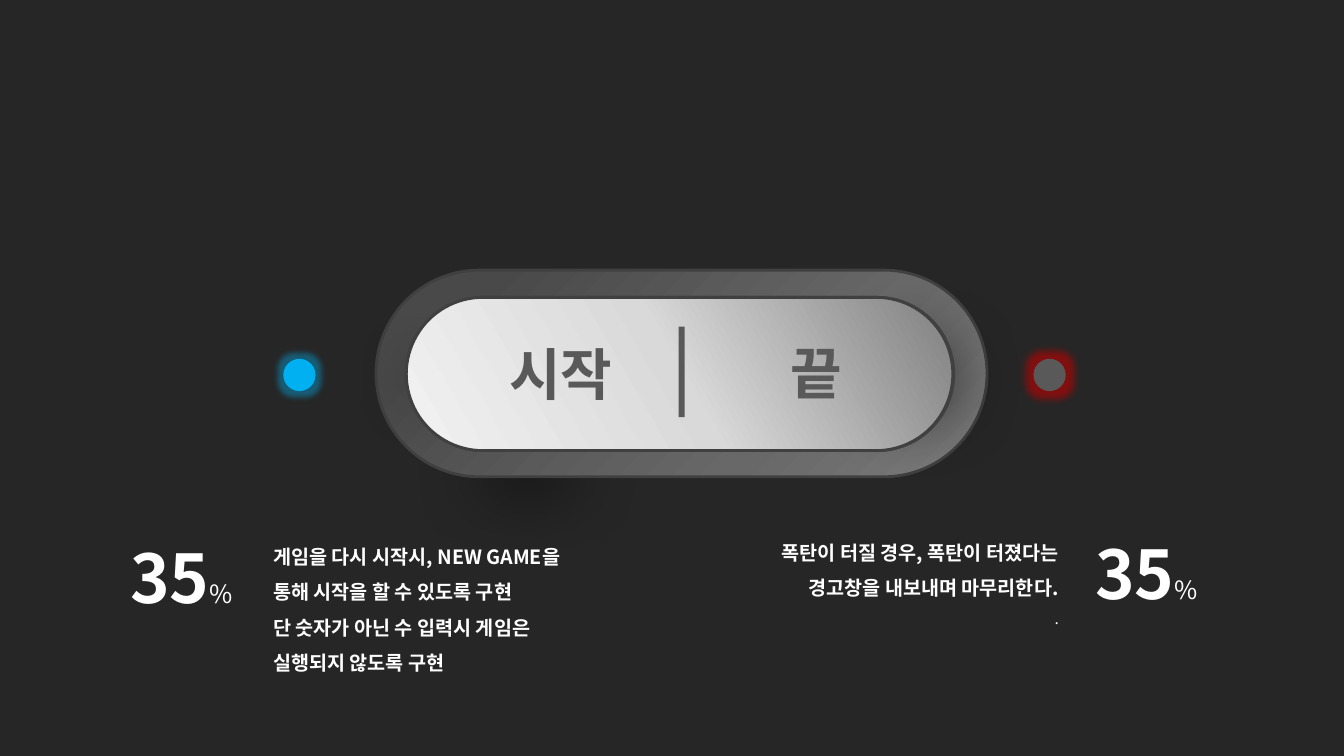
"""Build a dark slide with a start/end game switch and two captions."""
from lxml import etree
from pptx import Presentation, util as u
from pptx.dml.color import RGBColor
from pptx.enum import shapes, text
from pptx.oxml import ns

W, H = 13.33, 7.5
LABELS = [("시작", 4.87, 3.32), ("끝", 7.41, 3.31)]
LIGHTS = [(2.81, "blue", "blue", 8, 40), (10.25, "grey", "red", 11, 60)]
CAPTIONS = [
    dict(left=2.61, top=5.24, height=1.38, align="LEFT", lines=[
        ("게임을 다시 시작시, NEW GAME을 통해 시작을 할 수 있도록 구현", "body", True),
        ("단 숫자가 아닌 수 입력시 게임은 실행되지 않도록 구현", "body", True)]),
    dict(left=7.33, top=5.2, height=0.96, align="RIGHT", lines=[
        ("폭탄이 터질 경우, 폭탄이 터졌다는 경고창을 내보내며 마무리한다.", "body", True),
        (".", "small", False)]),
]
FIGURES = [(0.99, 4.87), (10.56, 4.83)]
FIGURE = [("35", "figure", True), ("%", "unit", False)]
SHADOWS = dict(below=(3.39, 3.71, 3.68, 1.92), right=(7.63, 2.53, 2.87, 2.49),
               left=(3.13, 2.68, 2.23, 2.19))
THEME = dict(
    font="Noto Sans CJK KR",
    colors=dict(back="262626", grey="595959", edge="404040", blue="00B0F0",
                red="C00000", white="FFFFFF", black="000000"),
    sizes=dict(label=40, figure=48, unit=18, body=14, small=11),
    rim=([(15, "494949"), (68, "686868"), (100, "7B7B7B")], 45),
    face=([(0, "808080"), (50, "D9D9D9"), (100, "F2F2F2")], 150),
)


def color(name):
    return RGBColor.from_string(THEME["colors"][name])


def add(parent, tag, **attrs):
    node = etree.SubElement(parent, ns.qn(tag))
    for key, value in attrs.items():
        node.set(key, str(value))
    return node


def add_plain(s, kind, box, fill):
    sp = s.shapes.add_shape(kind, *map(u.Inches, box))
    sp.shadow.inherit = False
    sp.line.fill.background()
    sp.fill.solid()
    sp.fill.fore_color.rgb = color(fill)
    return sp


def add_effect(sp, tag, radius):
    effects = sp._element.spPr.find(ns.qn("a:effectLst"))
    return add(effects, tag, rad=u.Pt(radius))


def add_shadow(s, name):
    sp = add_plain(s, shapes.MSO_SHAPE.OVAL, SHADOWS[name], "black")
    add(sp._element.spPr.find(".//" + ns.qn("a:srgbClr")), "a:alpha", val=74000)
    add_effect(sp, "a:softEdge", 50)


def add_pill(s, box, gradient):
    stops, angle = THEME[gradient]
    sp = add_plain(s, shapes.MSO_SHAPE.ROUNDED_RECTANGLE, box, "edge")
    sp.adjustments[0] = 0.5
    sp.line.color.rgb = color("edge")
    sp.line.width = u.Pt(2)
    sp.fill.gradient()
    sp.fill.gradient_angle = 360 - angle
    stop_list = sp._element.spPr.find(".//" + ns.qn("a:gsLst"))
    for old in list(stop_list):
        stop_list.remove(old)
    for position, value in stops:
        stop = add(stop_list, "a:gs", pos=position * 1000)
        add(stop, "a:srgbClr", val=value)


def add_text(s, box, paragraphs, align="CENTER", ink="white", spacing=None, anchor="TOP"):
    tf = s.shapes.add_textbox(*map(u.Inches, box)).text_frame
    tf.word_wrap = True
    tf.vertical_anchor = getattr(text.MSO_ANCHOR, anchor)
    for i, runs in enumerate(paragraphs):
        p = tf.add_paragraph() if i else tf.paragraphs[0]
        p.alignment = getattr(text.PP_ALIGN, align)
        p.line_spacing = spacing
        for words, size, bold in runs:
            r = p.add_run()
            r.text = words
            r.font.size = u.Pt(THEME["sizes"][size])
            r.font.bold = bold
            r.font.color.rgb = color(ink)
            r.font.name = THEME["font"]
            add(r._r.get_or_add_rPr(), "a:ea", typeface=THEME["font"])


def main():
    prs = Presentation()
    prs.slide_width, prs.slide_height = u.Inches(W), u.Inches(H)
    s = prs.slides.add_slide(prs.slide_layouts[6])
    s.background.fill.solid()
    s.background.fill.fore_color.rgb = color("back")

    add_shadow(s, "below")
    add_pill(s, (3.73, 2.68, 6.06, 2.05), "rim")
    add_shadow(s, "right")
    add_pill(s, (4.03, 2.95, 5.43, 1.52), "face")
    add_shadow(s, "left")
    add_pill(s, (4.03, 2.95, 5.42, 1.52), "face")
    add_plain(s, shapes.MSO_SHAPE.RECTANGLE, (6.73, 3.24, 0.06, 0.9), "grey")

    for label, left, top in LABELS:
        add_text(s, (left, top, 1.38, 0.77), [[(label, "label", True)]],
                 ink="grey", anchor="MIDDLE")
    for left, fill, glow, radius, alpha in LIGHTS:
        sp = add_plain(s, shapes.MSO_SHAPE.OVAL, (left, 3.56, 0.32, 0.32), fill)
        halo = add(add_effect(sp, "a:glow", radius), "a:srgbClr", val=color(glow))
        add(halo, "a:alpha", val=alpha * 1000)
    for c in CAPTIONS:
        add_text(s, (c["left"], c["top"], 3.27, c["height"]),
                 [[line] for line in c["lines"]], align=c["align"], spacing=1.5)
    for left, top in FIGURES:
        add_text(s, (left, top, 1.62, 0.9), [FIGURE], spacing=1.5)
    prs.save("out.pptx")


if __name__ == "__main__":
    main()
